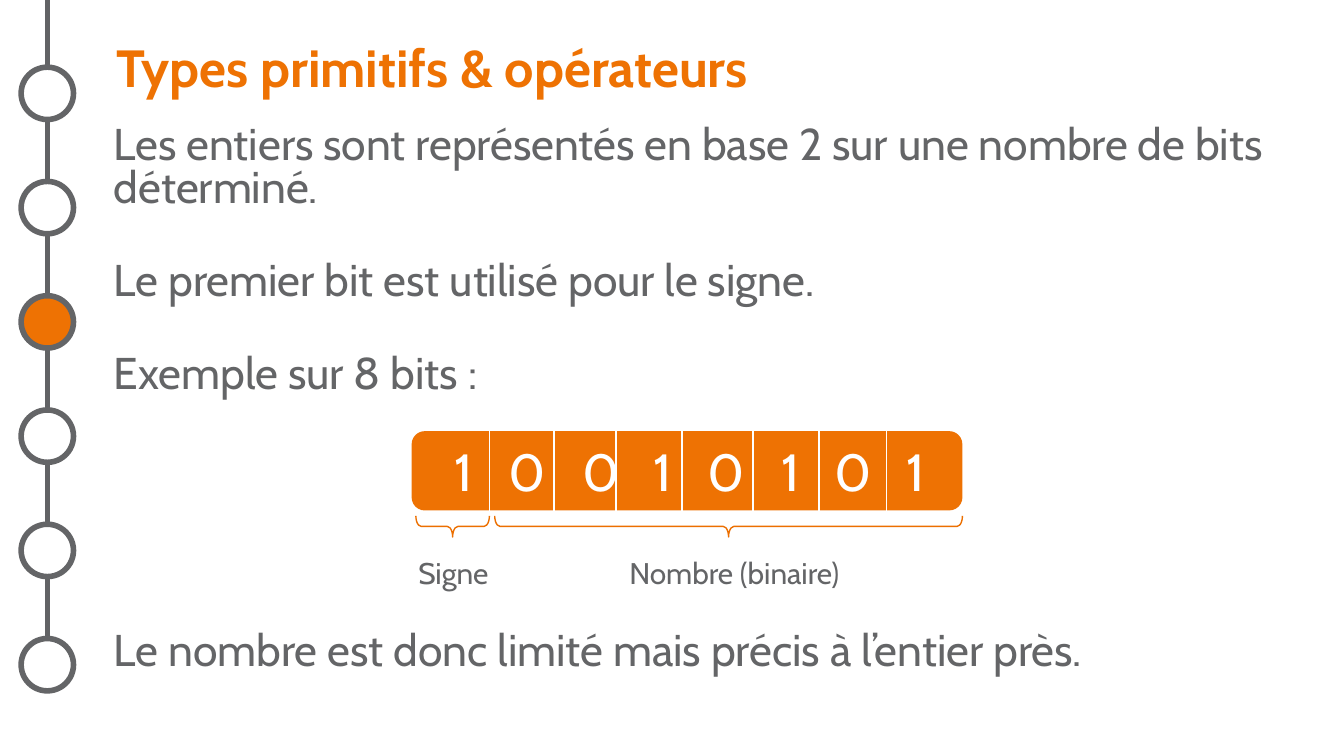
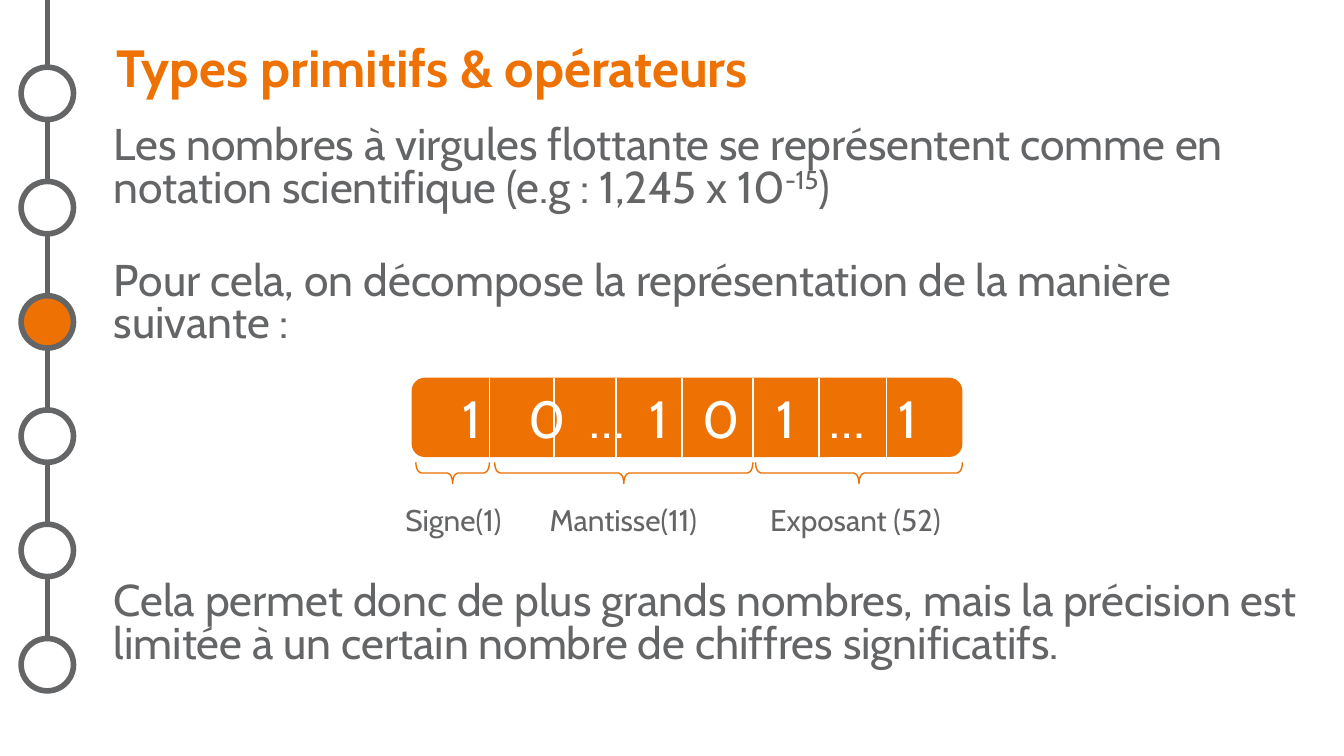
from dataclasses import dataclass

from lxml.etree import SubElement
from pptx import Presentation
from pptx.dml.color import RGBColor
from pptx.enum.shapes import MSO_CONNECTOR, MSO_SHAPE
from pptx.enum.text import MSO_ANCHOR, MSO_AUTO_SIZE, PP_ALIGN
from pptx.oxml.ns import qn
from pptx.util import Cm, Pt

COLORS = {
    "orange": "EE7203",
    "brace": "EC6F00",
    "grey": "646567",
    "spine": "626365",
    "white": "FFFFFF",
}
FONT = "Cabin"
TITLE = "Types primitifs & opérateurs"

# Timeline: six steps, the third one is current (lengths in cm)
STEP_COUNT, CURRENT_STEP = 6, 2
STEP_LEFT, STEP_TOP, STEP_PITCH, STEP_SIZE = 0.4, 1.27, 2.16, 0.99

# Bit register: positions inside it are measured from its left edge
REGISTER_LEFT, REGISTER_WIDTH, REGISTER_HEIGHT = 7.78, 10.41, 1.5
DIVIDERS = (1.47, 2.69, 3.86, 5.11, 6.45, 7.7, 8.97)
BRACE_DEPTH, BRACE_OFFSET, LABEL_OFFSET = 0.4, 1.8, 2.21

# Space before a paragraph, in points
PARAGRAPH_GAP, REGISTER_GAP = 27, 126


@dataclass(frozen=True)
class Passage:
    text: str
    gap: float = 0
    exponent: str = ""
    ending: str = ""


@dataclass(frozen=True)
class Field:
    """A group of bits, with its brace and its label."""
    label: str
    start: float
    end: float
    label_center: float
    label_width: float


@dataclass(frozen=True)
class Lesson:
    passages: tuple[Passage, ...]
    register_top: float
    bits: str
    bit_centers: tuple[float, ...]
    fields: tuple[Field, ...]


LESSONS = (
    Lesson(
        passages=(
            Passage("Les entiers sont représentés en base 2 sur une nombre de bits déterminé."),
            Passage("Le premier bit est utilisé pour le signe.", PARAGRAPH_GAP),
            Passage("Exemple sur 8 bits :", PARAGRAPH_GAP),
            Passage("Le nombre est donc limité mais précis à l’entier près.", REGISTER_GAP),
        ),
        register_top=8.15,
        bits="10010101",
        bit_centers=(0.91, 2.11, 3.51, 4.67, 5.87, 7.09, 8.28, 9.45),
        fields=(
            Field("Signe", 0.08, 1.47, 0.79, 3.68),
            Field("Nombre (binaire)", 1.57, 10.41, 6.1, 5.97),
        ),
    ),
    Lesson(
        passages=(
            Passage("Les nombres à virgules flottante se représentent comme en notation "
                    "scientifique (e.g : 1,245 x 10", exponent="-15", ending=")"),
            Passage("Pour cela, on décompose la représentation de la manière suivante :",
                    PARAGRAPH_GAP),
            Passage("Cela permet donc de plus grands nombres, mais la précision est limitée "
                    "à un certain nombre de chiffres significatifs.", REGISTER_GAP),
        ),
        register_top=7.14,
        bits="10…101…1",
        bit_centers=(1.07, 2.49, 3.63, 4.6, 5.77, 6.99, 8.15, 9.3),
        fields=(
            Field("Signe(1)", 0.08, 1.47, 0.79, 3.68),
            Field("Mantisse(11)", 1.57, 6.45, 4.0, 4.14),
            Field("Exposant (52)", 6.5, 10.41, 8.39, 4.27),
        ),
    ),
)


# Shared formatting
def rgb(name: str) -> RGBColor:
    return RGBColor.from_string(COLORS[name])


def style_runs(paragraph, size: float, color: str, bold: bool = False) -> None:
    for run in paragraph.runs:
        run.font.name = FONT
        run.font.size = Pt(size)
        run.font.bold = bold
        run.font.color.rgb = rgb(color)


def place(shape, left: float, top: float, width: float, height: float) -> None:
    shape.left, shape.top = Cm(left), Cm(top)
    shape.width, shape.height = Cm(width), Cm(height)


def add_figure(shapes, kind, box: tuple[float, float, float, float],
               fill: str | None = None, line: str | None = None, weight: float = 0):
    figure = shapes.add_shape(kind, *(Cm(length) for length in box))
    figure.shadow.inherit = False
    if fill:
        figure.fill.solid()
        figure.fill.fore_color.rgb = rgb(fill)
    else:
        figure.fill.background()
    if line:
        figure.line.color.rgb = rgb(line)
        figure.line.width = Pt(weight)
    else:
        figure.line.fill.background()
    return figure


def add_vertical(shapes, x: float, top: float, bottom: float, color: str, weight: float) -> None:
    rule = shapes.add_connector(MSO_CONNECTOR.STRAIGHT, Cm(x), Cm(top), Cm(x), Cm(bottom))
    rule.line.color.rgb = rgb(color)
    rule.line.width = Pt(weight)
    SubElement(rule._element.spPr, qn("a:effectLst"))


# Parts of a slide
def fill_title(title) -> None:
    place(title, 2.21, 0.51, 22.25, 1.5)
    frame = title.text_frame
    frame.text = TITLE
    frame.auto_size = MSO_AUTO_SIZE.NONE
    frame.vertical_anchor = MSO_ANCHOR.MIDDLE
    frame.margin_left = frame.margin_right = frame.margin_top = frame.margin_bottom = 0
    frame.paragraphs[0].alignment = PP_ALIGN.LEFT
    style_runs(frame.paragraphs[0], 28, "orange", bold=True)


def fill_body(body, passages: tuple[Passage, ...]) -> None:
    place(body, 1.9, 2.26, 23.11, 11.48)
    frame = body.text_frame
    frame.text = "\n".join(passage.text for passage in passages)
    frame.auto_size = MSO_AUTO_SIZE.NONE
    for paragraph, passage in zip(frame.paragraphs, passages):
        paragraph.line_spacing = 0.8
        paragraph.space_before = Pt(passage.gap)
        properties = paragraph._p.get_or_add_pPr()
        properties.set("marL", "0")
        properties.set("indent", "0")
        SubElement(properties, qn("a:buNone"))
        if passage.exponent:
            exponent = paragraph.add_run()
            exponent.text = passage.exponent
            exponent._r.get_or_add_rPr().set("baseline", "30000")
            paragraph.add_run().text = passage.ending
        style_runs(paragraph, 23.8, "grey")


def add_timeline(slide) -> None:
    timeline = slide.shapes.add_group_shape().shapes
    add_vertical(timeline, STEP_LEFT + STEP_SIZE / 2, 0, 12.75, "spine", 3)
    for step in range(STEP_COUNT):
        add_figure(timeline, MSO_SHAPE.OVAL,
                   (STEP_LEFT, STEP_TOP + step * STEP_PITCH, STEP_SIZE, STEP_SIZE),
                   "orange" if step == CURRENT_STEP else "white", "grey", 3)


def add_register(slide, lesson: Lesson) -> None:
    top = lesson.register_top
    register = add_figure(slide.shapes, MSO_SHAPE.ROUNDED_RECTANGLE,
                          (REGISTER_LEFT, top, REGISTER_WIDTH, REGISTER_HEIGHT), "orange")
    frame = register.text_frame
    frame.margin_left = frame.margin_right = 0
    frame.vertical_anchor = MSO_ANCHOR.MIDDLE
    # Each bit is centred on its own tab stop
    bits = frame.paragraphs[0]
    bits.text = "".join(f"\t{bit}" for bit in lesson.bits)
    bits.alignment = PP_ALIGN.LEFT
    stops = SubElement(bits._p.get_or_add_pPr(), qn("a:tabLst"))
    for center in lesson.bit_centers:
        SubElement(stops, qn("a:tab"), pos=str(Cm(center)), algn="ctr")
    style_runs(bits, 28, "white")
    for divider in DIVIDERS:
        add_vertical(slide.shapes, REGISTER_LEFT + divider, top, top + REGISTER_HEIGHT,
                     "white", 0.75)


def add_field(slide, field: Field, register_top: float) -> None:
    # The brace is an upright shape turned about its centre
    length = field.end - field.start
    center_x = REGISTER_LEFT + (field.start + field.end) / 2
    center_y = register_top + BRACE_OFFSET
    brace = add_figure(slide.shapes, MSO_SHAPE.LEFT_BRACE,
                       (center_x - BRACE_DEPTH / 2, center_y - length / 2, BRACE_DEPTH, length),
                       line="brace", weight=0.75)
    brace.adjustments[0] = 0.25
    brace.rotation = 270

    label = slide.shapes.add_textbox(
        Cm(REGISTER_LEFT + field.label_center - field.label_width / 2),
        Cm(register_top + LABEL_OFFSET), Cm(field.label_width), Cm(0.94))
    label.text_frame.word_wrap = True
    label.text_frame.text = field.label
    caption = label.text_frame.paragraphs[0]
    caption.alignment = PP_ALIGN.CENTER
    style_runs(caption, 16, "grey")


def add_lesson(deck, lesson: Lesson) -> None:
    slide = deck.slides.add_slide(deck.slide_layouts[1])
    fill_title(slide.shapes.title)
    fill_body(slide.placeholders[1], lesson.passages)
    add_timeline(slide)
    add_register(slide, lesson)
    for field in lesson.fields:
        add_field(slide, field, lesson.register_top)


def main() -> None:
    deck = Presentation()
    deck.slide_width, deck.slide_height = Cm(25.4), Cm(14.29)
    for lesson in LESSONS:
        add_lesson(deck, lesson)
    deck.save("out.pptx")


if __name__ == "__main__":
    main()
